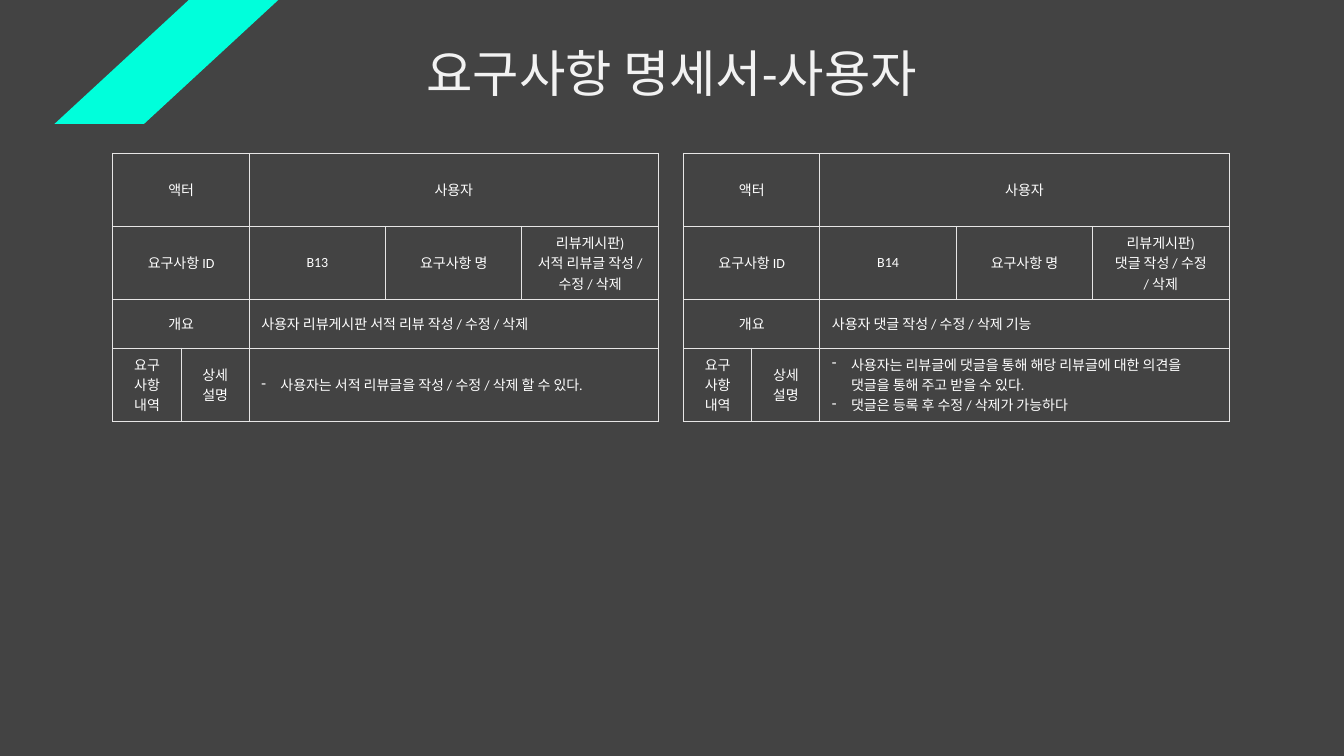
from lxml import etree
from pptx import Presentation
from pptx import util as u
from pptx.dml.color import RGBColor
from pptx.enum import text
from pptx.oxml.ns import qn

COLORS = {
    "background": "434343",
    "accent": "00FFDB",
    "border": "E7E6E6",
    "title": "F2F2F2",
    "body": "FFFFFF",
}
FONT = "Calibri"
COLUMN_SHARES = [1, 1, 2, 2, 2]
ROW_SHARES = [3, 3, 2, 3]
CELL_FORMAT = {
    "margin_left": u.Inches(0.12),
    "margin_right": u.Inches(0.12),
    "margin_top": u.Inches(0.05),
    "margin_bottom": u.Inches(0.05),
    "vertical_anchor": text.MSO_ANCHOR.MIDDLE,
}
TITLE_FORMAT = {
    "word_wrap": True,
    "auto_size": text.MSO_AUTO_SIZE.SHAPE_TO_FIT_TEXT,
    "vertical_anchor": text.MSO_ANCHOR.TOP,
}
REQUIREMENTS = [
    {
        "id": "B13",
        "name": ["리뷰게시판)", "서적 리뷰글 작성 / 수정 / 삭제"],
        "summary": "사용자 리뷰게시판 서적 리뷰 작성 / 수정 / 삭제",
        "details": ["사용자는 서적 리뷰글을 작성 / 수정 / 삭제 할 수 있다."],
    },
    {
        "id": "B14",
        "name": ["리뷰게시판)", "댓글 작성 / 수정", "/ 삭제"],
        "summary": "사용자 댓글 작성 / 수정 / 삭제 기능",
        "details": [
            "사용자는 리뷰글에 댓글을 통해 해당 리뷰글에 대한 의견을 댓글을 통해 주고 받을 수 있다.",
            "댓글은 등록 후 수정 / 삭제가 가능하다",
        ],
    },
]


def color(name):
    return RGBColor.from_string(COLORS[name])


def set_fill(fill, name):
    fill.solid()
    fill.fore_color.rgb = color(name)


def write_paragraph(paragraph, words, size, color_name, align):
    paragraph.alignment = align
    run = paragraph.add_run()
    run.text = words
    for key, value in {"name": FONT, "size": u.Pt(size), "bold": False}.items():
        setattr(run.font, key, value)
    run.font.color.rgb = color(color_name)


def add_dash(paragraph):
    properties = paragraph._p.get_or_add_pPr()
    indent = u.Inches(0.19)
    properties.set("marL", str(indent))
    properties.set("indent", str(-indent))
    bullet_color = etree.SubElement(properties, qn("a:buClr"))
    etree.SubElement(bullet_color, qn("a:srgbClr"), val=COLORS["body"])
    etree.SubElement(properties, qn("a:buChar"), char="-")


def style_cell(cell):
    for key, value in CELL_FORMAT.items():
        setattr(cell, key, value)
    properties = cell._tc.get_or_add_tcPr()
    for side in ("a:lnL", "a:lnR", "a:lnT", "a:lnB"):
        line = etree.SubElement(properties, qn(side), w=str(u.Pt(0.75)))
        fill = etree.SubElement(line, qn("a:solidFill"))
        etree.SubElement(fill, qn("a:srgbClr"), val=COLORS["border"])
    set_fill(cell.fill, "background")


def write_cell(cell, lines, align, dashed):
    frame = cell.text_frame
    for index, words in enumerate(lines):
        paragraph = frame.add_paragraph() if index else frame.paragraphs[0]
        write_paragraph(paragraph, words, 10, "body", align)
        if dashed:
            add_dash(paragraph)


def add_requirement_table(slide, requirement, left, top, width, height):
    table = slide.shapes.add_table(
        len(ROW_SHARES), len(COLUMN_SHARES), left, top, width, height).table
    table.first_row = table.horz_banding = False
    for column, share in zip(table.columns, COLUMN_SHARES):
        column.width = int(width * share / sum(COLUMN_SHARES))
    for row, share in zip(table.rows, ROW_SHARES):
        row.height = int(height * share / sum(ROW_SHARES))
    for cell in table.iter_cells():
        style_cell(cell)

    center, left_align = text.PP_ALIGN.CENTER, text.PP_ALIGN.LEFT
    # Row, column, columns spanned, lines, alignment, dashed
    entries = [
        (0, 0, 2, ["액터"], center, False),
        (0, 2, 3, ["사용자"], center, False),
        (1, 0, 2, ["요구사항 ID"], center, False),
        (1, 2, 1, [requirement["id"]], center, False),
        (1, 3, 1, ["요구사항 명"], center, False),
        (1, 4, 1, requirement["name"], center, False),
        (2, 0, 2, ["개요"], center, False),
        (2, 2, 3, [requirement["summary"]], left_align, False),
        (3, 0, 1, ["요구 사항 내역"], center, False),
        (3, 1, 1, ["상세 설명"], center, False),
        (3, 2, 3, requirement["details"], left_align, True),
    ]
    for row, column, span, lines, align, dashed in entries:
        cell = table.cell(row, column)
        if span > 1:
            cell.merge(table.cell(row, column + span - 1))
        write_cell(cell, lines, align, dashed)


def add_corner_band(slide, left, top, width, height):
    thickness = 0.4 * width
    right, bottom = left + width, top + height
    builder = slide.shapes.build_freeform(right, top, scale=1.0)
    builder.add_line_segments([
        (right - thickness, top), (left, bottom), (left + thickness, bottom)], close=True)
    band = builder.convert_to_shape()
    band.shadow.inherit = False
    set_fill(band.fill, "accent")
    band.line.fill.background()


def place_title(slide, words, left, top, width, height):
    title = slide.shapes.title
    title.left, title.top, title.width, title.height = left, top, width, height
    for key, value in TITLE_FORMAT.items():
        setattr(title.text_frame, key, value)
    write_paragraph(
        title.text_frame.paragraphs[0], words, 36, "title", text.PP_ALIGN.CENTER)


def build_requirement_slide(presentation):
    slide = presentation.slides.add_slide(presentation.slide_layouts[5])
    set_fill(slide.background.fill, "background")

    # Two tables side by side
    width, gap = u.Inches(5.41), u.Inches(0.25)
    for index, requirement in enumerate(REQUIREMENTS):
        left = u.Inches(1.12) + index * (width + gap)
        add_requirement_table(
            slide, requirement, left, u.Inches(1.52), width, u.Inches(2.66))

    # Corner band and heading
    add_corner_band(slide, u.Inches(0.54), 0, u.Inches(2.22), u.Inches(1.23))
    place_title(slide, "요구사항 명세서-사용자",
                u.Inches(1.15), u.Inches(0.37), u.Inches(11.02), u.Inches(0.71))


def main():
    presentation = Presentation()
    presentation.slide_width = u.Inches(13.33)
    presentation.slide_height = u.Inches(7.5)
    build_requirement_slide(presentation)
    presentation.save("out.pptx")


if __name__ == "__main__":
    main()
